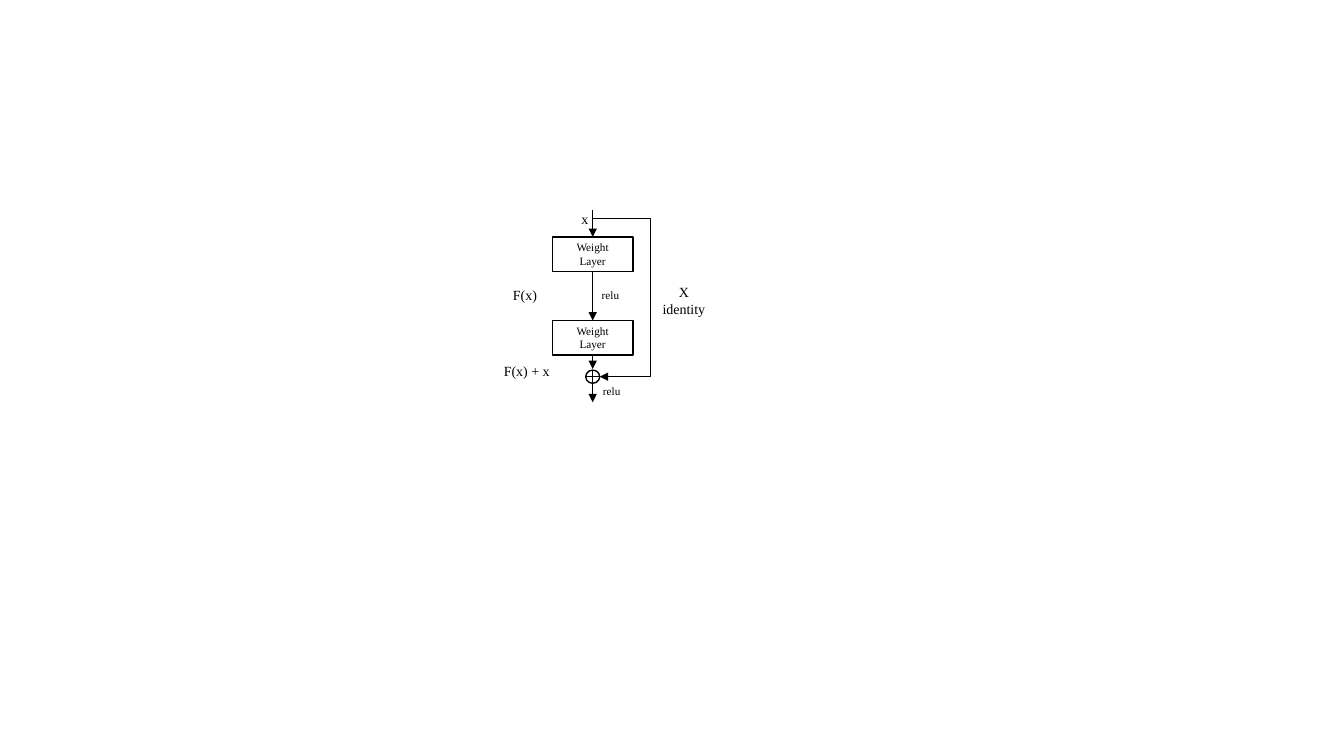
from pptx import Presentation
from pptx.dml.color import RGBColor
from pptx.enum.shapes import MSO_CONNECTOR as Connector, MSO_SHAPE as Shape
from pptx.enum.text import MSO_ANCHOR as Anchor, MSO_AUTO_SIZE as AutoSize, PP_ALIGN as Align
from pptx.oxml.ns import qn
from pptx.util import Pt
from lxml.etree import SubElement

FONT = "Times New Roman"
BLACK, WHITE = "000000", "FFFFFF"
AXIS = 423.36
LAYER_WIDTH, LAYER_HEIGHT = 57.6, 24.6
LAYER_TOPS = (169.2, 229)
SUM_TOP, SUM_WIDTH, SUM_HEIGHT = 264.4, 10, 9.4


def color(value):
    """Turn a hex string into a colour."""
    return RGBColor.from_string(value)


def write(frame, text, size=10, align=Align.LEFT, anchor=Anchor.TOP, wrap=True):
    """Fill a text frame, one paragraph per line of text."""
    frame.word_wrap = wrap
    frame.vertical_anchor = anchor
    for index, line in enumerate(text.split("\n")):
        paragraph = frame.add_paragraph() if index else frame.paragraphs[0]
        paragraph.alignment = align
        run = paragraph.add_run()
        run.text = line
        run.font.name = FONT
        run.font.size = Pt(size)
        run.font.color.rgb = color(BLACK)


def add_node(shapes, kind, top, width, height, text=""):
    """Add an outlined shape centred on the vertical axis."""
    shape = shapes.add_shape(kind, Pt(AXIS - width / 2), Pt(top), Pt(width), Pt(height))
    shape.shadow.inherit = False
    shape.fill.solid()
    shape.fill.fore_color.rgb = color(WHITE)
    shape.line.color.rgb = color(BLACK)
    shape.line.width = Pt(1)
    if text:
        write(shape.text_frame, text, size=8, align=Align.CENTER, anchor=Anchor.MIDDLE)


def add_label(shapes, text, left, top, width, height, **style):
    """Add an unwrapped label that grows with its text."""
    label = shapes.add_textbox(Pt(left), Pt(top), Pt(width), Pt(height))
    write(label.text_frame, text, wrap=False, **style)
    label.text_frame.auto_size = AutoSize.SHAPE_TO_FIT_TEXT


def add_arrow(shapes, start, end, kind=Connector.STRAIGHT):
    """Add a thin black connector with a triangle at its end."""
    arrow = shapes.add_connector(kind, *(Pt(value) for value in (*start, *end)))
    arrow.line.color.rgb = color(BLACK)
    arrow.line.width = Pt(0.5)
    SubElement(arrow.line._get_or_add_ln(), qn("a:tailEnd"), type="triangle")
    SubElement(arrow._element.spPr, qn("a:effectLst"))
    return arrow


def add_skip_arrow(shapes, start, end, rise, reach):
    """Add a four-part elbow that goes up, right, down and back left."""
    across, down = end[0] - start[0], end[1] - start[1]
    center_x, center_y = start[0] + across / 2, start[1] + down / 2
    corner = (center_x - down / 2, center_y - across / 2)
    opposite = (center_x + down / 2, center_y + across / 2)
    arrow = add_arrow(shapes, corner, opposite, Connector.ELBOW)
    properties = arrow._element.spPr
    transform = properties.find(qn("a:xfrm"))
    transform.set("rot", "16200000")
    transform.set("flipH", "1")
    geometry = properties.find(qn("a:prstGeom"))
    geometry.set("prst", "bentConnector4")
    guides = geometry.find(qn("a:avLst"))
    for name, ratio in (("adj1", -rise / down), ("adj2", reach / across)):
        SubElement(guides, qn("a:gd"), name=name, fmla=f"val {round(ratio * 100000)}")


def main():
    """Build the residual block slide."""
    presentation = Presentation()
    presentation.slide_width, presentation.slide_height = Pt(960), Pt(540)
    slide = presentation.slides.add_slide(presentation.slide_layouts[6])
    shapes = slide.shapes.add_group_shape().shapes

    for top in LAYER_TOPS:
        add_node(shapes, Shape.RECTANGLE, top, LAYER_WIDTH, LAYER_HEIGHT, "Weight Layer")
    add_node(shapes, Shape.FLOWCHART_OR, SUM_TOP, SUM_WIDTH, SUM_HEIGHT)

    first, second = LAYER_TOPS
    sum_bottom = SUM_TOP + SUM_HEIGHT
    for start, end in (
        (149.8, first),
        (first + LAYER_HEIGHT, second),
        (second + LAYER_HEIGHT, 263.6),
        (sum_bottom, 287.4),
    ):
        add_arrow(shapes, (AXIS, start), (AXIS, end))
    sum_side = (AXIS + SUM_WIDTH / 2, SUM_TOP + SUM_HEIGHT / 2)
    add_skip_arrow(shapes, (AXIS, 159.4), sum_side, rise=3.2, reach=41.3)

    add_label(shapes, "x", 408.3, 147.1, 19.4, 19.4)
    add_label(shapes, "relu", 422.7, 202.4, 27.4, 17.3, size=8)
    add_label(shapes, "relu", 423.6, 270.8, 27.4, 17.3, size=8)
    add_label(shapes, "F(x)", 359.3, 201, 31.7, 19.4)
    add_label(shapes, "F(x) + x", 352.8, 255.5, 47.5, 19.4)
    add_label(shapes, "X\nidentity", 465.8, 198.9, 45.4, 31.7, align=Align.CENTER)
    presentation.save("out.pptx")


if __name__ == "__main__":
    main()
